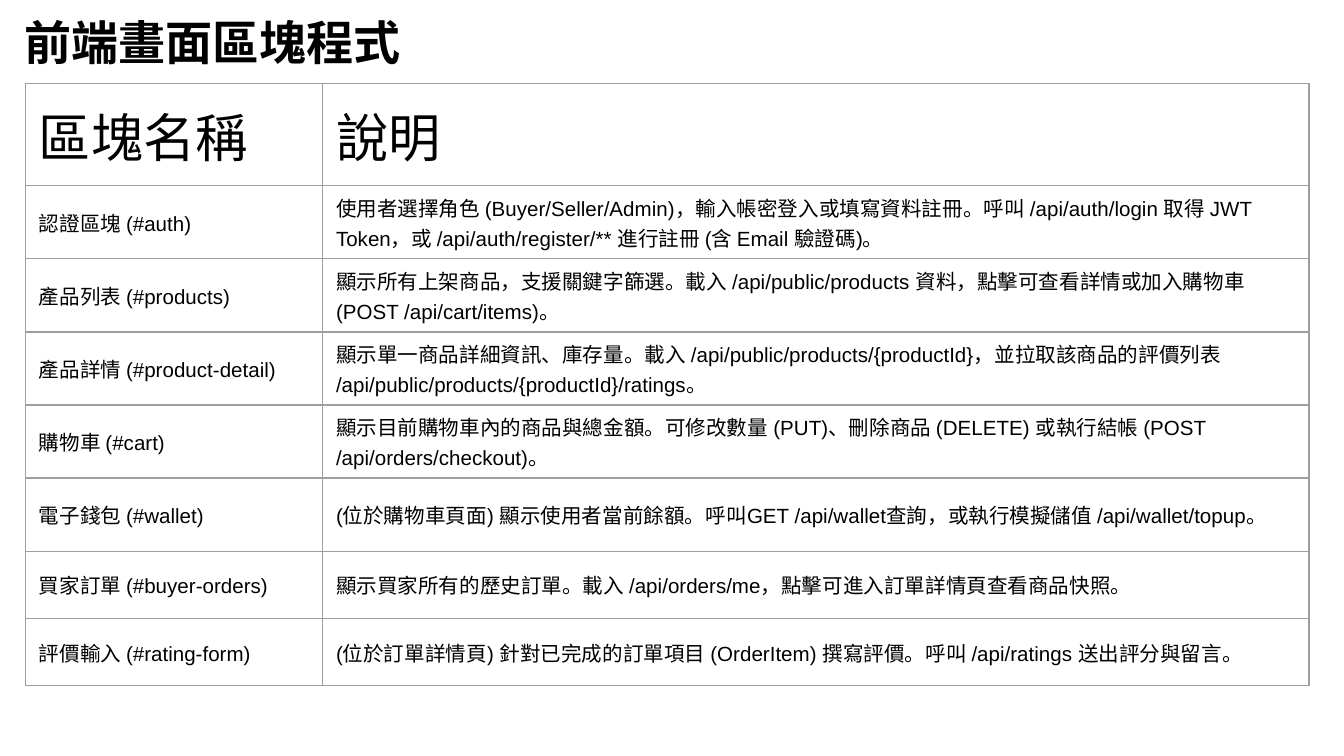
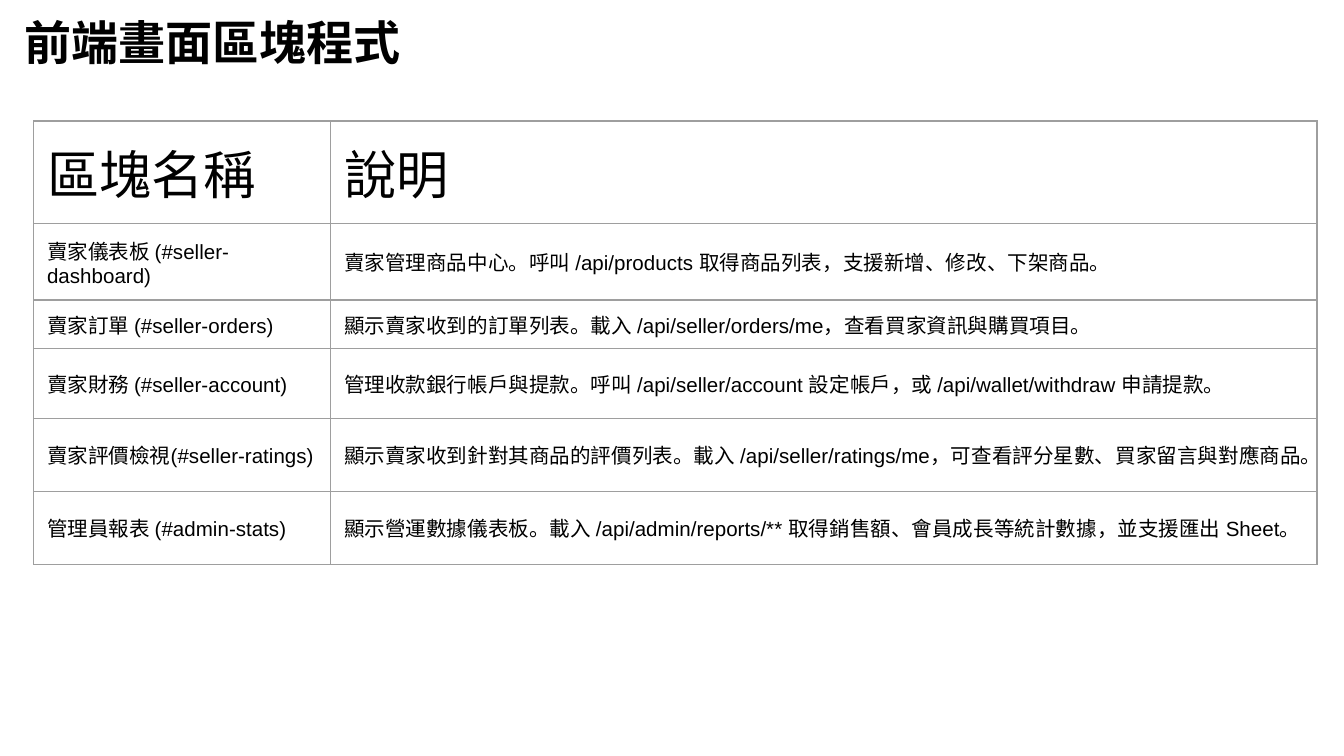
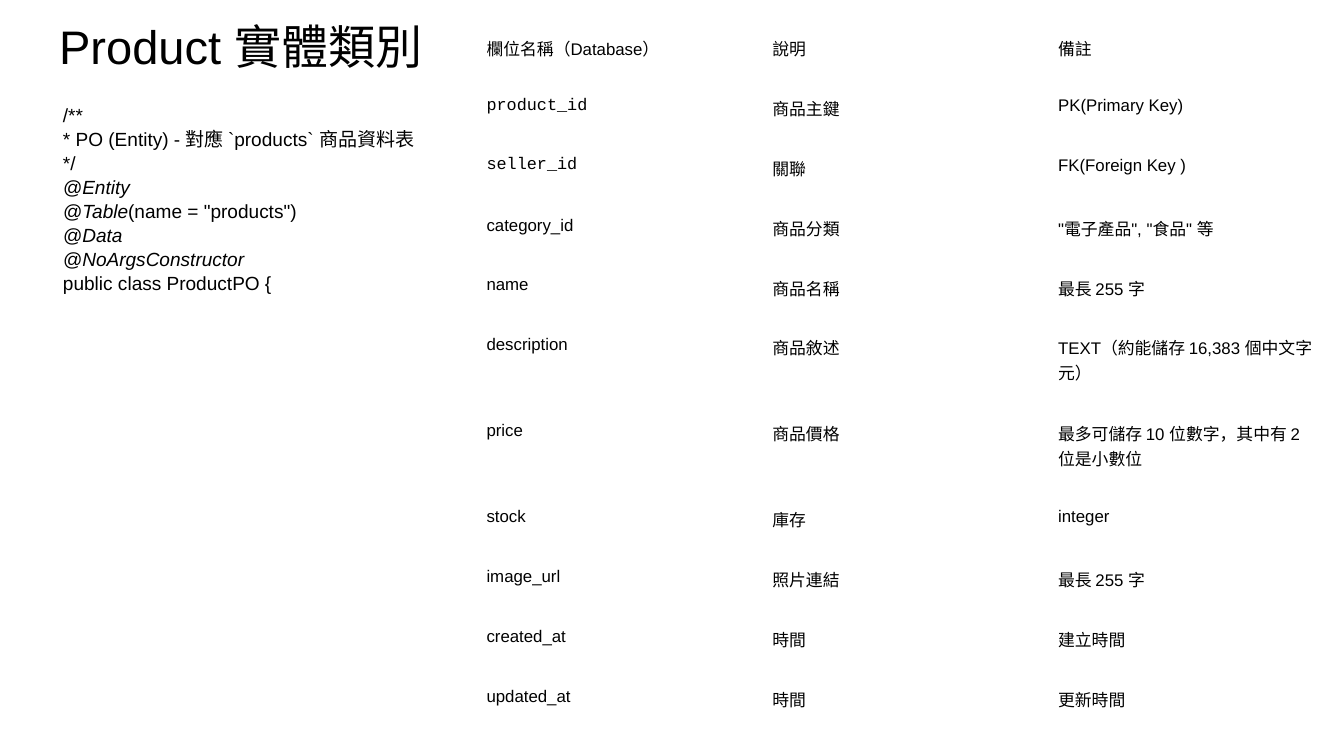
from lxml import etree
from pptx import Presentation
from pptx import util as u
from pptx.dml.color import RGBColor
from pptx.enum import text
from pptx.oxml import ns

BLACK = RGBColor(0x00, 0x00, 0x00)
BORDER_GREY = RGBColor(0x9E, 0x9E, 0x9E)
FONT = "Arial"
CODE_FONT = "Courier New"
TITLE_ONLY = 5
INSET = 0.1

# Text formats
TITLE = {"name": FONT, "size": u.Pt(25.2), "bold": False}
BLOCK_TITLE = {**TITLE, "bold": True}
BLOCK_HEADER = {"name": FONT, "size": u.Pt(28)}
BLOCK_BODY = {"name": FONT, "size": u.Pt(11)}
FIELD = {"name": FONT, "size": u.Pt(9)}
FIELD_CODE = {**FIELD, "name": CODE_FONT}
CODE = {"name": FONT, "size": u.Pt(10.2), "italic": False}
ANNOTATION = {**CODE, "italic": True}

# Frontend blocks
BLOCK_HEADING = "前端畫面區塊程式"
BLOCK_COLUMNS = [2.21, 7.34]
HEADER_ROW = ("區塊名稱", "說明")
BUYER_BLOCKS = [
    ("認證區塊 (#auth)",
     "使用者選擇角色 (Buyer/Seller/Admin)，輸入帳密登入或填寫資料註冊。呼叫 /api/auth/login 取得 JWT Token，"
     "或 /api/auth/register/** 進行註冊 (含 Email 驗證碼)。"),
    ("產品列表 (#products)",
     "顯示所有上架商品，支援關鍵字篩選。載入 /api/public/products 資料，點擊可查看詳情或加入購物車 "
     "(POST /api/cart/items)。"),
    ("產品詳情 (#product-detail)",
     "顯示單一商品詳細資訊、庫存量。載入 /api/public/products/{productId}，並拉取該商品的評價列表 "
     "/api/public/products/{productId}/ratings。"),
    ("購物車 (#cart)",
     "顯示目前購物車內的商品與總金額。可修改數量 (PUT)、刪除商品 (DELETE) 或執行結帳 "
     "(POST /api/orders/checkout)。"),
    ("電子錢包 (#wallet)",
     "(位於購物車頁面) 顯示使用者當前餘額。呼叫GET /api/wallet查詢，或執行模擬儲值 /api/wallet/topup。"),
    ("買家訂單 (#buyer-orders)",
     "顯示買家所有的歷史訂單。載入 /api/orders/me，點擊可進入訂單詳情頁查看商品快照。"),
    ("評價輸入 (#rating-form)",
     "(位於訂單詳情頁) 針對已完成的訂單項目 (OrderItem) 撰寫評價。呼叫 /api/ratings 送出評分與留言。"),
]
SELLER_BLOCKS = [
    ("賣家儀表板 (#seller-dashboard)",
     "賣家管理商品中心。呼叫 /api/products 取得商品列表，支援新增、修改、下架商品。"),
    ("賣家訂單 (#seller-orders)",
     "顯示賣家收到的訂單列表。載入 /api/seller/orders/me，查看買家資訊與購買項目。"),
    ("賣家財務 (#seller-account)",
     "管理收款銀行帳戶與提款。呼叫 /api/seller/account 設定帳戶，或 /api/wallet/withdraw 申請提款。"),
    ("賣家評價檢視(#seller-ratings)",
     "顯示賣家收到針對其商品的評價列表。載入 /api/seller/ratings/me，可查看評分星數、買家留言與對應商品。"),
    ("管理員報表 (#admin-stats)",
     "顯示營運數據儀表板。載入 /api/admin/reports/** 取得銷售額、會員成長等統計數據，並支援匯出 Sheet。"),
]

# Product entity
ENTITY_CODE = [
    [("/**", CODE)],
    [("* PO (Entity) - 對應 `products` 商品資料表", CODE)],
    [("*/", CODE)],
    [("@Entity", ANNOTATION)],
    [("@Table", ANNOTATION), ('(name = "products")', CODE)],
    [("@Data", ANNOTATION)],
    [("@NoArgsConstructor", ANNOTATION)],
    [("public class ProductPO {", CODE)],
]
PRODUCT_FIELDS = [
    ("欄位名稱（Database）", "說明", "備註"),
    ("product_id", "商品主鍵", "PK(Primary Key)"),
    ("seller_id", "關聯", "FK(Foreign Key )"),
    ("category_id", "商品分類", '"電子產品", "食品" 等'),
    ("name", "商品名稱", "最長 255 字"),
    ("description", "商品敘述", "TEXT（約能儲存 16,383 個中文字元）"),
    ("price", "商品價格", "最多可儲存 10 位數字，其中有 2 位是小數位"),
    ("stock", "庫存", "integer"),
    ("image_url", "照片連結", "最長 255 字"),
    ("created_at", "時間", "建立時間"),
    ("updated_at", "時間", "更新時間"),
]
KEY_FIELDS = {"product_id", "seller_id"}
TALL_FIELDS = {"description", "price"}
FIELDS_HEIGHT = 5.29
TALL_ROW = 0.64


def add_span(para, words, style):
    span = para.add_run()
    span.text = words
    for name, value in style.items():
        setattr(span.font, name, value)
    span.font.color.rgb = BLACK


def set_insets(target, vertical=INSET):
    margins = {"margin_left": INSET, "margin_right": INSET,
               "margin_top": vertical, "margin_bottom": vertical}
    for name, value in margins.items():
        setattr(target, name, u.Inches(value))


def place(shape, left, top, width, height):
    frame = {"left": left, "top": top, "width": width, "height": height}
    for name, value in frame.items():
        setattr(shape, name, u.Inches(value))


def add_page(deck, heading, frame, style):
    page = deck.slides.add_slide(deck.slide_layouts[TITLE_ONLY])
    title = page.shapes.title
    place(title, *frame)
    box = title.text_frame
    set_insets(box)
    box.word_wrap = True
    box.auto_size = text.MSO_AUTO_SIZE.NONE
    box.vertical_anchor = text.MSO_ANCHOR.TOP
    para = box.paragraphs[0]
    para.alignment = text.PP_ALIGN.LEFT
    add_span(para, heading, style)
    return page


def add_borders(cell):
    properties = cell._tc.get_or_add_tcPr()
    for side in ("a:lnL", "a:lnR", "a:lnT", "a:lnB"):
        line = etree.SubElement(properties, ns.qn(side), w=str(u.Pt(0.75)))
        fill = etree.SubElement(line, ns.qn("a:solidFill"))
        etree.SubElement(fill, ns.qn("a:srgbClr"), val=str(BORDER_GREY))


def add_grid(page, left, top, columns, heights, rows, style_of, bordered=False):
    """Add a plain table; style_of(row, words) gives format, anchor and vertical inset."""
    grid = page.shapes.add_table(
        len(rows), len(columns), u.Inches(left), u.Inches(top),
        u.Inches(sum(columns)), u.Inches(sum(heights))).table
    grid.first_row = grid.horz_banding = False
    for column, width in zip(grid.columns, columns):
        column.width = u.Inches(width)
    for r, (height, row) in enumerate(zip(heights, rows)):
        grid.rows[r].height = u.Inches(height)
        for c, words in enumerate(row):
            cell = grid.cell(r, c)
            style, anchor, inset = style_of(r, words)
            set_insets(cell, inset)
            cell.vertical_anchor = anchor
            if bordered:
                add_borders(cell)
            cell.fill.background()
            add_span(cell.text_frame.paragraphs[0], words, style)


def block_style(row, words):
    if row == 0:
        return BLOCK_HEADER, text.MSO_ANCHOR.TOP, INSET
    return BLOCK_BODY, text.MSO_ANCHOR.MIDDLE, 0.05


def field_style(row, words):
    style = FIELD_CODE if words in KEY_FIELDS else FIELD
    return style, text.MSO_ANCHOR.TOP, INSET


def add_block_page(deck, left, top, heights, blocks):
    page = add_page(deck, BLOCK_HEADING, (0.08, 0, 3.07, 0.53), BLOCK_TITLE)
    add_grid(page, left, top, BLOCK_COLUMNS, heights, [HEADER_ROW, *blocks],
             block_style, bordered=True)


def add_code(page, left, top, width, height, lines):
    box = page.shapes.add_textbox(
        *map(u.Inches, (left, top, width, height))).text_frame
    box.word_wrap = True
    set_insets(box)
    for i, spans in enumerate(lines):
        para = box.add_paragraph() if i else box.paragraphs[0]
        para.line_spacing = 1.05
        para._p.get_or_add_pPr().set("marL", str(u.Inches(0.03)))
        for words, style in spans:
            add_span(para, words, style)


def add_entity_page(deck):
    page = add_page(deck, "Product 實體類別", (0.34, 0.03, 3.02, 0.63), TITLE)
    add_code(page, 0.34, 0.66, 3.18, 1.7, ENTITY_CODE)
    # Rows with one line share what the tall rows leave
    tall = len(TALL_FIELDS)
    short_row = (FIELDS_HEIGHT - tall * TALL_ROW) / (len(PRODUCT_FIELDS) - tall)
    heights = [TALL_ROW if row[0] in TALL_FIELDS else short_row
               for row in PRODUCT_FIELDS]
    add_grid(page, 3.52, 0.17, [6.38 / 3] * 3, heights, PRODUCT_FIELDS, field_style)


def main():
    deck = Presentation()
    deck.slide_width = u.Inches(10)
    deck.slide_height = deck.slide_width * 9 // 16
    add_block_page(deck, 0.19, 0.62, [0.45] + [0.54] * 4 + [0.5] * 3, BUYER_BLOCKS)
    add_block_page(deck, 0.25, 0.9, [0.47, 0.57, 0.36] + [0.52] * 3, SELLER_BLOCKS)
    add_entity_page(deck)
    deck.save("out.pptx")


if __name__ == "__main__":
    main()
